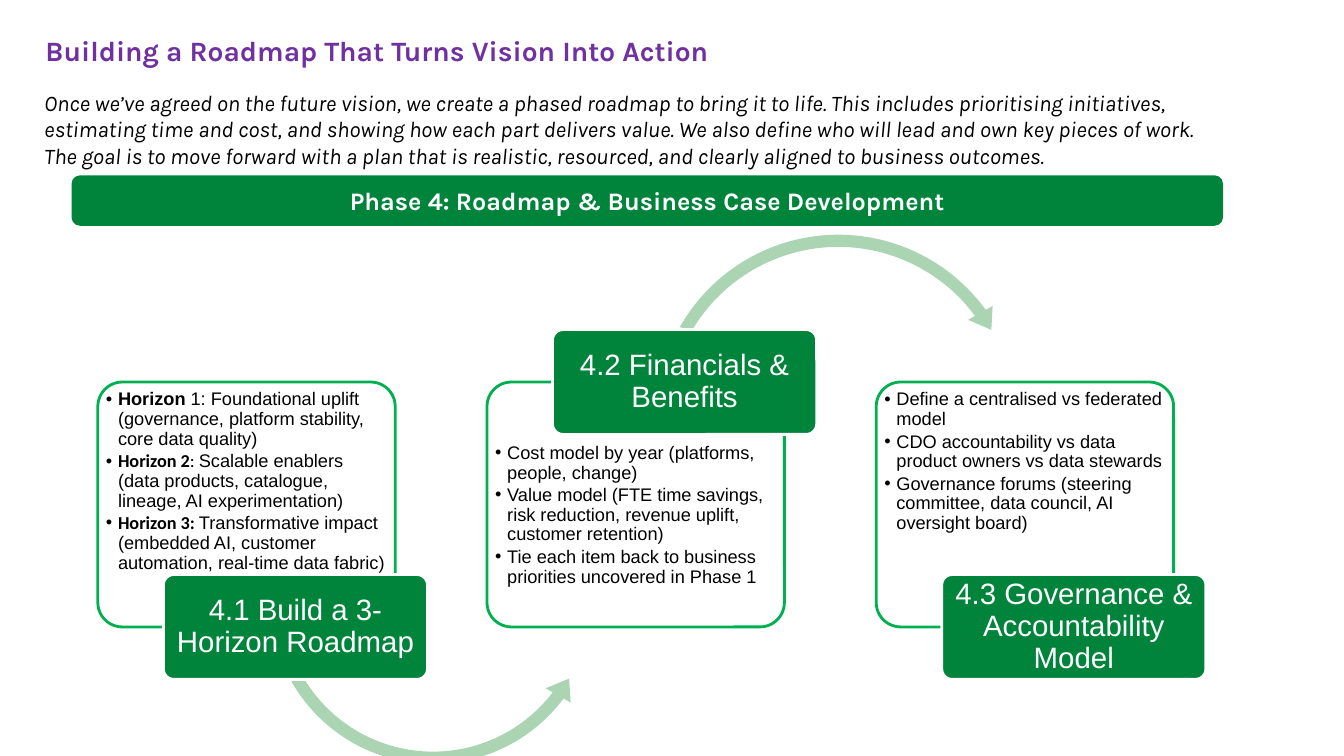
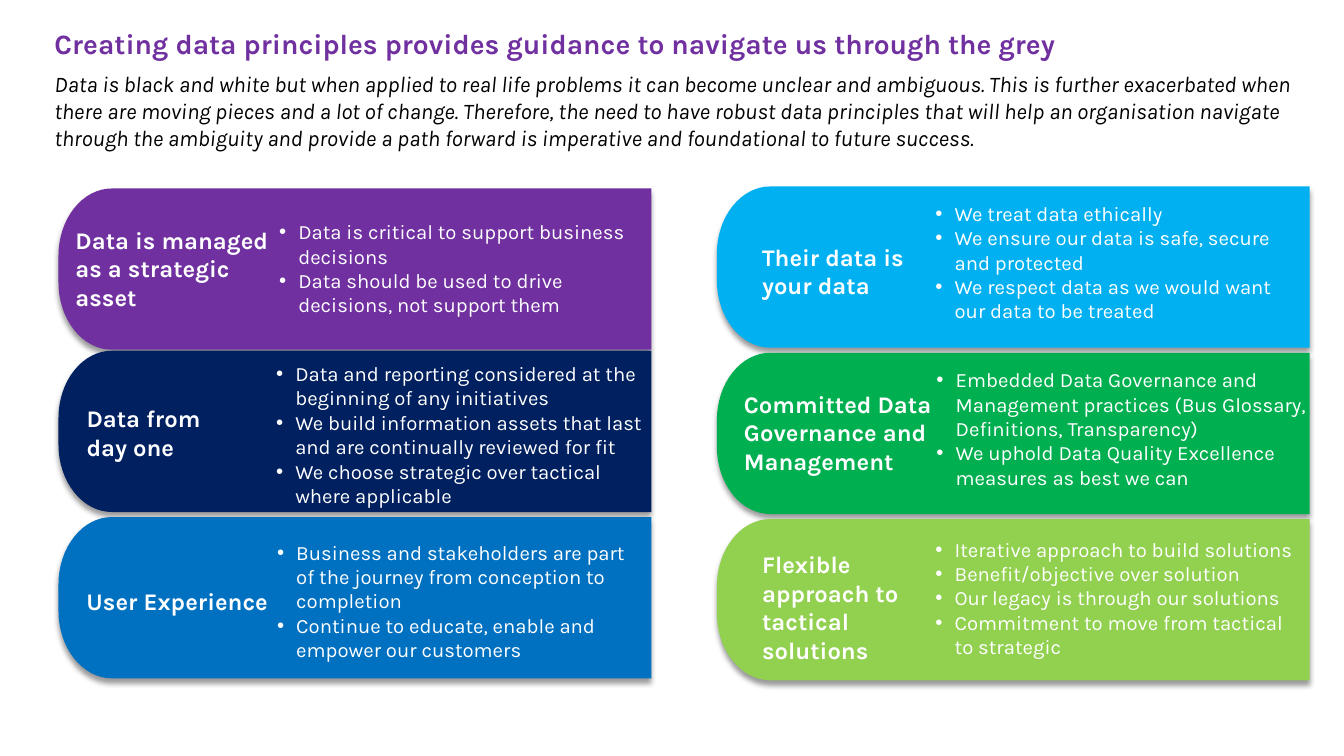
"""Build two slides: a phased data roadmap and a set of data principles."""

import math
from dataclasses import dataclass
from typing import Any, NamedTuple, Optional, Sequence

import lxml.etree
import pptx
import pptx.dml.color
import pptx.enum.shapes
import pptx.enum.text
import pptx.oxml.ns
import pptx.util

Inches = pptx.util.Inches
Pt = pptx.util.Pt
RGBColor = pptx.dml.color.RGBColor
Shapes = pptx.enum.shapes.MSO_SHAPE
Align = pptx.enum.text.PP_ALIGN
Anchor = pptx.enum.text.MSO_ANCHOR
qn = pptx.oxml.ns.qn

BLACK = RGBColor(0x00, 0x00, 0x00)
WHITE = RGBColor(0xFF, 0xFF, 0xFF)
PURPLE = RGBColor(0x70, 0x30, 0xA0)
NAVY = RGBColor(0x00, 0x20, 0x60)
BLUE = RGBColor(0x00, 0x70, 0xC0)
SKY = RGBColor(0x00, 0xB0, 0xF0)
GREEN = RGBColor(0x00, 0xB0, 0x50)
LIME = RGBColor(0x92, 0xD0, 0x50)
DEEP_GREEN = RGBColor(0x00, 0x84, 0x3C)
PALE_GREEN = RGBColor(0xAB, 0xD4, 0xB3)

CARD_LEFT, CARD_STEP, CARD_TOP = 0.97, 3.86, 3.79
CARD_WIDTH, CARD_HEIGHT = 2.95, 2.43
TAG_OFFSET, TAG_WIDTH, TAG_HEIGHT = 0.65, 2.62, 1.04
PANEL_WIDTH, PANEL_HEIGHT = 5.88, 1.6
CORNER_WIDTH, CORNER_HEIGHT, CORNER_STEPS = 0.53, 0.67, 16


class Rect(NamedTuple):
    left: float
    top: float
    width: float
    height: float


class Span(NamedTuple):
    text: str
    format: dict[str, Any] = {}


Line = Sequence[Span]


@dataclass(frozen=True)
class Style:
    font: dict[str, Any]
    para: dict[str, Any]
    indent: float = 0


@dataclass(frozen=True)
class Arrow:
    kind: Any
    rect: Rect
    adjustments: tuple[float, ...]


@dataclass(frozen=True)
class Card:
    tag: str
    lines: Sequence[Line]
    tag_top: float = 5.7
    text_inset: float = 0.01
    arrow: Optional[Arrow] = None


class Block(NamedTuple):
    left: float
    middle: float
    width: float


@dataclass(frozen=True)
class Panel:
    left: float
    top: float
    color: RGBColor
    heading: str
    heading_block: Block
    bullets: Sequence[str]
    bullet_block: Block


def font(name: str, size: float, color: RGBColor, **extra: Any) -> dict[str, Any]:
    return {"name": name, "size": Pt(size), "color": color, **extra}


LEFT = {"alignment": Align.LEFT}
TITLE = Style(font("Karla", 20, PURPLE, bold=True), LEFT)
INTRO = Style(font("Karla", 16, BLACK, italic=True), LEFT)
BAND = Style(font("Karla", 18, WHITE, bold=True), {"alignment": Align.CENTER})
TAG = Style(font("Arial", 21, WHITE), {"alignment": Align.CENTER, "line_spacing": 0.9})
CARD = Style(font("Arial", 13, BLACK), {**LEFT, "line_spacing": 0.9, "space_after": Pt(2)}, 0.12)
HEADING = Style(font("Karla", 17, WHITE, bold=True), LEFT)
BULLET = Style(font("Karla", 14.5, WHITE), LEFT, 0.19)

BOLD = {"bold": True}
CALIBRI = {"name": "Calibri"}

CARDS = (
    Card(
        "4.1 Build a 3-Horizon Roadmap",
        (
            (
                Span("Horizon ", BOLD),
                Span("1: Foundational uplift (governance, platform stability, core data quality)"),
            ),
            (
                Span("Horizon 2", BOLD | CALIBRI),
                Span(": ", CALIBRI),
                Span("Scalable enablers (data products, catalogue, lineage, AI experimentation)"),
            ),
            (
                Span("Horizon 3: ", BOLD | CALIBRI),
                Span("Transformative impact (embedded AI, customer automation, real-time data fabric)"),
            ),
        ),
        arrow=Arrow(
            Shapes.LEFT_CIRCULAR_ARROW,
            Rect(2.6, 4.27, 3.39, 3.39),
            (0.036, 4.424, 22.18, 90.245, 0.042),
        ),
    ),
    Card(
        "4.2 Financials & Benefits",
        (
            (Span("Cost model by year (platforms, people, change)"),),
            (Span("Value model (FTE time savings, risk reduction, revenue uplift, customer retention)"),),
            (Span("Tie each item back to business priorities uncovered in Phase 1"),),
        ),
        tag_top=3.27,
        text_inset=0.54,
        arrow=Arrow(
            Shapes.CIRCULAR_ARROW,
            Rect(6.43, 2.25, 3.77, 3.77),
            (0.032, 3.948, 194.297, 125.755, 0.037),
        ),
    ),
    Card(
        "4.3 Governance & Accountability Model",
        (
            (Span("Define a centralised vs federated model"),),
            (Span("CDO accountability vs data product owners vs data stewards"),),
            (Span("Governance forums (steering committee, data council, AI oversight board)"),),
        ),
    ),
)

PANELS = (
    Panel(0.58, 1.87, PURPLE, "Data is managed as a strategic asset", Block(0.65, 2.66, 2.19), (
        "Data is critical to support business decisions",
        "Data should be used to drive decisions, not support them",
    ), Block(2.67, 2.66, 3.8)),
    Panel(0.58, 3.48, NAVY, "Data from day one", Block(0.76, 4.29, 1.71), (
        "Data and reporting considered at the beginning of any initiatives",
        "We build information assets that last and are continually reviewed for fit",
        "We choose strategic over tactical where applicable",
    ), Block(2.64, 4.31, 3.83)),
    Panel(0.58, 5.13, BLUE, "User Experience", Block(0.76, 5.96, 2.23), (
        "Business and stakeholders are part of the journey from conception to completion",
        "Continue to educate, enable and empower our customers",
    ), Block(2.65, 5.96, 3.76)),
    Panel(7.11, 1.85, SKY, "Their data is your data", Block(7.46, 2.69, 1.7), (
        "We treat data ethically",
        "We ensure our data is safe, secure and protected",
        "We respect data as we would want our data to be treated",
    ), Block(9.18, 2.6, 3.87)),
    Panel(7.11, 3.5, GREEN, "Committed Data Governance and Management", Block(7.28, 4.29, 2.24), (
        "Embedded Data Governance and Management practices (Bus Glossary, Definitions, Transparency)",
        "We uphold Data Quality Excellence measures as best we can",
    ), Block(9.19, 4.25, 3.87)),
    Panel(7.11, 5.15, LIME, "Flexible approach to tactical solutions", Block(7.46, 6.02, 1.85), (
        "Iterative approach to build solutions",
        "Benefit/objective over solution",
        "Our legacy is through our solutions",
        "Commitment to move from tactical to strategic",
    ), Block(9.18, 5.93, 3.87)),
)


def apply(target: Any, values: dict[str, Any]) -> None:
    for name, value in values.items():
        if name == "color":
            target.color.rgb = value
        else:
            setattr(target, name, value)


def add_bullet(para: Any, indent: float) -> None:
    properties = para._p.get_or_add_pPr()
    properties.set("marL", str(Inches(indent)))
    properties.set("indent", str(-Inches(indent)))
    lxml.etree.SubElement(properties, qn("a:buFont"), typeface="Arial")
    lxml.etree.SubElement(properties, qn("a:buChar"), char="•")


def write(box: Any, lines: Sequence[Line], style: Style, **frame_format: Any) -> None:
    frame = box.text_frame
    settings = {
        "word_wrap": True,
        "auto_size": pptx.enum.text.MSO_AUTO_SIZE.NONE,
        "vertical_anchor": Anchor.MIDDLE,
    }
    apply(frame, settings | frame_format)
    for index, line in enumerate(lines):
        para = frame.add_paragraph() if index else frame.paragraphs[0]
        if style.indent:
            add_bullet(para, style.indent)
        apply(para, style.para)
        for span in line:
            run = para.add_run()
            run.text = span.text
            apply(run.font, style.font | span.format)


def margins(left: float, top: float, right: float, bottom: float) -> dict[str, Any]:
    sides = ("left", "top", "right", "bottom")
    return {f"margin_{side}": Inches(size) for side, size in zip(sides, (left, top, right, bottom))}


def add_text(page: Any, rect: Rect, lines: Sequence[Line], style: Style) -> None:
    write(page.shapes.add_textbox(*map(Inches, rect)), lines, style)


def paint(shape: Any, fill: RGBColor, line: Optional[RGBColor] = None) -> None:
    shape.shadow.inherit = False
    shape.fill.solid()
    shape.fill.fore_color.rgb = fill
    if line is None:
        shape.line.fill.background()
    else:
        shape.line.color.rgb = line
        shape.line.width = Pt(2)


def add_shape(page: Any, kind: Any, rect: Rect, fill: RGBColor, line: Optional[RGBColor] = None) -> Any:
    shape = page.shapes.add_shape(kind, *map(Inches, rect))
    paint(shape, fill, line)
    return shape


def add_page(deck: Any, title: str, title_rect: Rect, intro: str, intro_rect: Rect) -> Any:
    page = deck.slides.add_slide(deck.slide_layouts[5])
    sizes = map(Inches, title_rect)
    apply(page.shapes.title, dict(zip(("left", "top", "width", "height"), sizes)))
    write(page.shapes.title, [[Span(title)]], TITLE)
    add_text(page, intro_rect, [[Span(intro)]], INTRO)
    return page


def draw_card(page: Any, card: Card, left: float) -> None:
    rect = Rect(left, CARD_TOP, CARD_WIDTH, CARD_HEIGHT)
    body = add_shape(page, Shapes.ROUNDED_RECTANGLE, rect, WHITE, GREEN)
    body.adjustments[0] = 0.1
    inset = margins(0.01, card.text_inset, 0.02, 0.01)
    write(body, card.lines, CARD, **inset | {"vertical_anchor": Anchor.TOP})
    if card.arrow:
        arrow = add_shape(page, card.arrow.kind, card.arrow.rect, PALE_GREEN)
        for index, value in enumerate(card.arrow.adjustments):
            arrow.adjustments[index] = value
    rect = Rect(left + TAG_OFFSET, card.tag_top, TAG_WIDTH, TAG_HEIGHT)
    tag = add_shape(page, Shapes.ROUNDED_RECTANGLE, rect, DEEP_GREEN, WHITE)
    tag.adjustments[0] = 0.1
    write(tag, [[Span(card.tag)]], TAG, **margins(0.04, 0.03, 0.04, 0.03))


def add_shadow(shape: Any) -> None:
    effects = shape._element.spPr.find(qn("a:effectLst"))
    shadow = lxml.etree.SubElement(
        effects, qn("a:outerShdw"), blurRad=str(Pt(4)), dist=str(Pt(3)), dir="5400000", rotWithShape="0"
    )
    color = lxml.etree.SubElement(shadow, qn("a:srgbClr"), val=str(BLACK))
    lxml.etree.SubElement(color, qn("a:alpha"), val="40000")


def draw_panel_shape(page: Any, panel: Panel) -> None:
    right, bottom = panel.left + PANEL_WIDTH, panel.top + PANEL_HEIGHT
    angles = [math.pi / 2 * step / CORNER_STEPS for step in range(CORNER_STEPS + 1)]
    curve = [
        (panel.left + CORNER_WIDTH * (1 - math.sin(angle)), CORNER_HEIGHT * (1 - math.cos(angle)))
        for angle in angles
    ]
    upper = [(x, panel.top + drop) for x, drop in curve]
    lower = [(x, bottom - drop) for x, drop in reversed(curve)]
    points = [(Inches(x), Inches(y)) for x, y in upper + lower + [(right, bottom)]]
    builder = page.shapes.build_freeform(Inches(right), Inches(panel.top))
    builder.add_line_segments(points, close=True)
    shape = builder.convert_to_shape()
    paint(shape, panel.color)
    add_shadow(shape)


def draw_panel(page: Any, panel: Panel) -> None:
    draw_panel_shape(page, panel)
    for block, texts, style in (
        (panel.heading_block, [panel.heading], HEADING),
        (panel.bullet_block, panel.bullets, BULLET),
    ):
        rect = Rect(block.left, block.middle - PANEL_HEIGHT / 2, block.width, PANEL_HEIGHT)
        add_text(page, rect, [[Span(text)] for text in texts], style)


def build_roadmap(deck: Any) -> None:
    page = add_page(
        deck,
        "Building a Roadmap That Turns Vision Into Action",
        Rect(0.35, 0.08, 12.8, 0.83),
        "Once we’ve agreed on the future vision, we create a phased roadmap to bring it to life. This includes prioritising initiatives, estimating time and cost, and showing how each part delivers value. We also define who will lead and own key pieces of work. The goal is to move forward with a plan that is realistic, resourced, and clearly aligned to business outcomes.",
        Rect(0.34, 0.82, 11.88, 0.92),
    )
    band = add_shape(page, Shapes.ROUNDED_RECTANGLE, Rect(0.71, 1.74, 11.42, 0.5), DEEP_GREEN)
    write(band, [[Span("Phase 4: Roadmap & Business Case Development")]], BAND)
    for index, card in enumerate(CARDS):
        draw_card(page, card, CARD_LEFT + index * CARD_STEP)


def build_principles(deck: Any) -> None:
    page = add_page(
        deck,
        "Creating data principles provides guidance to navigate us through the grey",
        Rect(0.44, 0, 12.8, 0.85),
        "Data is black and white but when applied to real life problems it can become unclear and ambiguous. This is further exacerbated when there are moving pieces and a lot of change. Therefore, the need to have robust data principles that will help an organisation navigate through the ambiguity and provide a path forward is imperative and foundational to future success.",
        Rect(0.44, 0.65, 12.81, 0.89),
    )
    for panel in PANELS:
        draw_panel(page, panel)


def main() -> None:
    deck = pptx.Presentation()
    apply(deck, {"slide_width": Inches(13.33), "slide_height": Inches(7.5)})
    build_roadmap(deck)
    build_principles(deck)
    deck.save("out.pptx")


if __name__ == "__main__":
    main()
